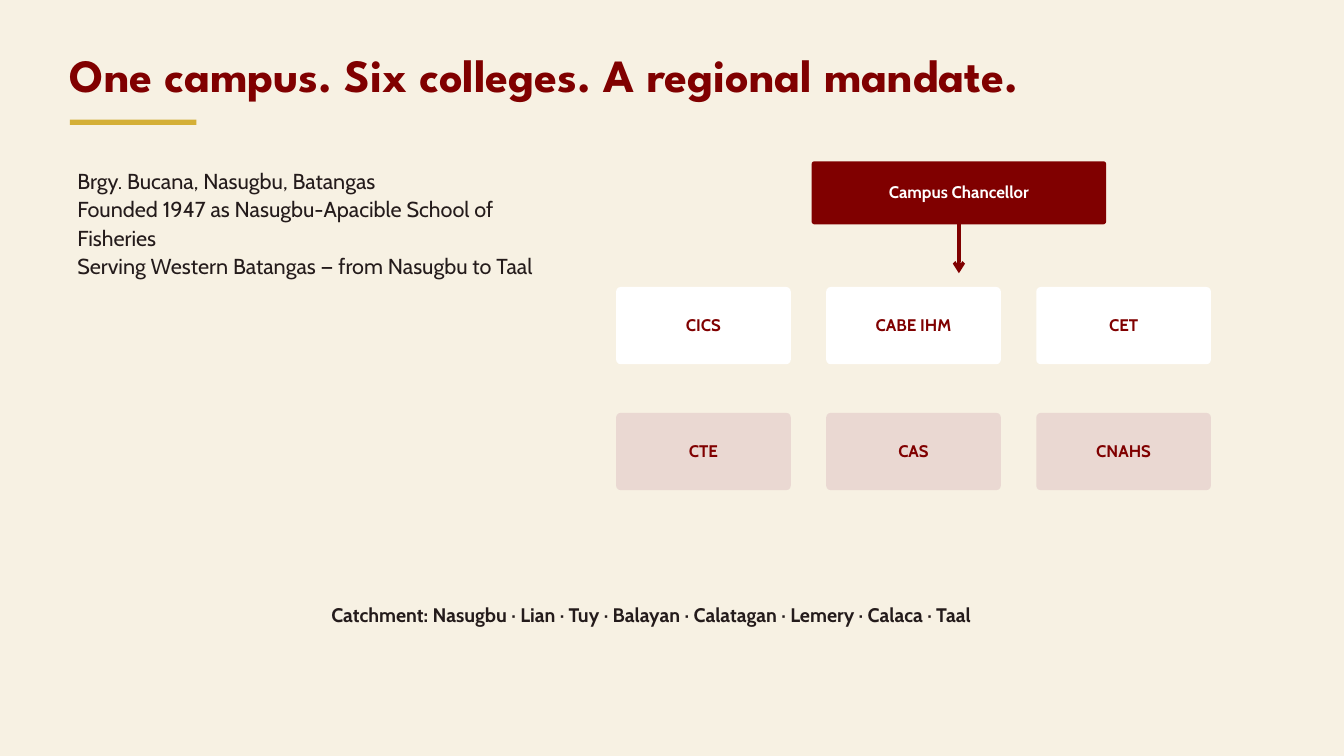
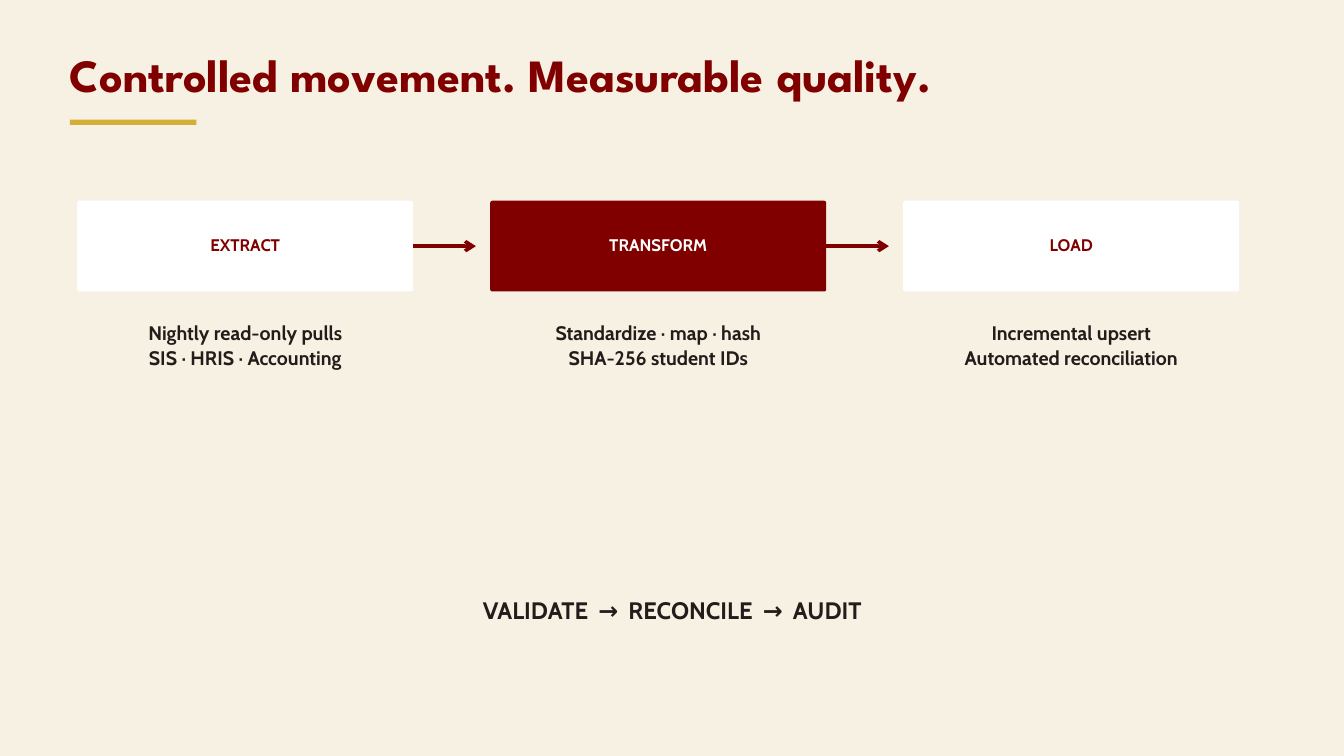
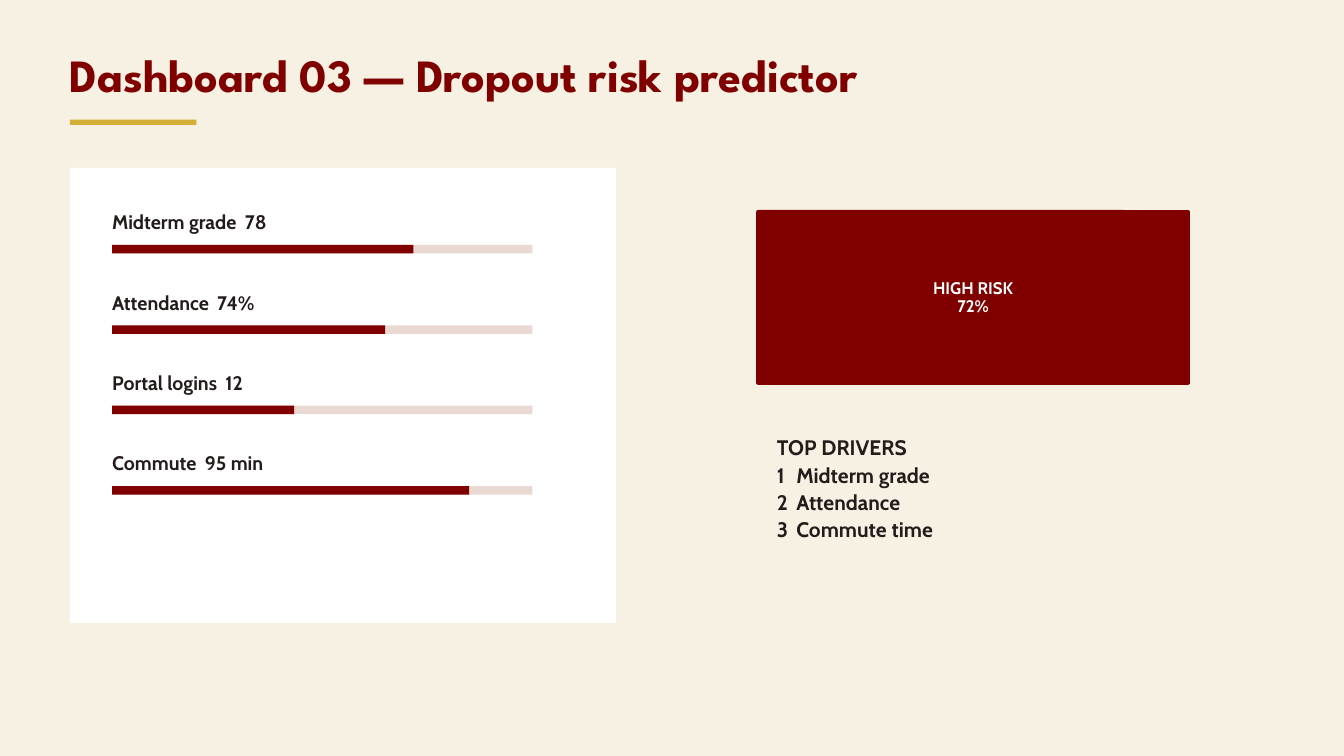
from dataclasses import dataclass

from lxml.etree import SubElement
from pptx import Presentation
from pptx.dml.color import RGBColor
from pptx.enum.shapes import MSO_CONNECTOR, MSO_SHAPE
from pptx.enum.text import MSO_ANCHOR, MSO_AUTO_SIZE, PP_ALIGN
from pptx.oxml.ns import qn
from pptx.util import Cm, Pt

# Shared style
COLORS = {
    "cream": "F7F1E3",
    "maroon": "800000",
    "gold": "D4AF37",
    "ink": "241B1B",
    "white": "FFFFFF",
    "blush": "EAD8D2",
}
BODY_FONT = "Cabin"
TITLE_FONT = "League Spartan"
GAP = "|"  # marks a double-width space inside a line
SPACE_EM = 0.2
TITLE_AND_BODY, TITLE_ONLY = 1, 5


@dataclass(frozen=True)
class Box:
    x: float
    y: float
    w: float
    h: float

    def emu(self) -> tuple:
        return Cm(self.x), Cm(self.y), Cm(self.w), Cm(self.h)


@dataclass(frozen=True)
class Stage:
    name: str
    caption: str
    fill: str
    color: str


@dataclass(frozen=True)
class Metric:
    label: str
    share: float


def rgb(name: str) -> RGBColor:
    return RGBColor.from_string(COLORS[name])


# Text
def write(tf, text: str, *, size: float, leading: float, color: str = "ink",
          font: str = BODY_FONT, bold: bool = True, align=PP_ALIGN.LEFT,
          anchor=MSO_ANCHOR.TOP, inset: float = 0) -> None:
    """Fill a text frame, one paragraph per line of text."""
    tf.word_wrap = True
    tf.auto_size = MSO_AUTO_SIZE.NONE
    tf.vertical_anchor = anchor
    tf.margin_left = tf.margin_top = tf.margin_right = tf.margin_bottom = Cm(inset)
    for i, line in enumerate(text.split("\n")):
        p = tf.paragraphs[0] if i == 0 else tf.add_paragraph()
        p.alignment = align
        p.line_spacing = Pt(leading)
        p.space_before = Pt(0)
        for j, part in enumerate(line.split(GAP)):
            for piece in ([" ", part] if j else [part]):
                r = p.add_run()
                r.text = piece
                r.font.size = Pt(size)
                r.font.name = font
                r.font.bold = bold
                r.font.color.rgb = rgb(color)
                if piece == " ":
                    r.font._element.set("spc", str(round(size * SPACE_EM * 100)))


def add_text(s, box: Box, text: str, **style) -> None:
    write(s.shapes.add_textbox(*box.emu()).text_frame, text, **style)


def place(sp, box: Box) -> None:
    sp.left, sp.top, sp.width, sp.height = box.emu()


def set_bullet(p, number: bool = False, indent: float = 0) -> None:
    pPr = p._p.get_or_add_pPr()
    pPr.set("marL", str(Cm(indent)))
    pPr.set("indent", str(-Cm(indent)))
    if number:
        SubElement(pPr, qn("a:buFont"), typeface=BODY_FONT)
        SubElement(pPr, qn("a:buAutoNum"), type="arabicPlain")
    else:
        SubElement(pPr, qn("a:buNone"))


def fill_body(s, box: Box, text: str, numbered_from: int | None = None, **style) -> None:
    """Use the body placeholder; lines from numbered_from on are numbered."""
    sp = s.placeholders[1]
    place(sp, box)
    write(sp.text_frame, text, **style)
    for i, p in enumerate(sp.text_frame.paragraphs):
        if numbered_from is not None and i >= numbered_from:
            set_bullet(p, number=True, indent=0.74)
        else:
            set_bullet(p)


# Shapes
def add_block(s, box: Box, fill: str, radius: float = 0):
    kind = MSO_SHAPE.ROUNDED_RECTANGLE if radius else MSO_SHAPE.RECTANGLE
    sp = s.shapes.add_shape(kind, *box.emu())
    if radius:
        sp.adjustments[0] = radius / min(box.w, box.h)
    sp.shadow.inherit = False
    sp.fill.solid()
    sp.fill.fore_color.rgb = rgb(fill)
    sp.line.fill.background()
    return sp


def add_label_block(s, box: Box, text: str, fill: str, color: str, radius: float):
    sp = add_block(s, box, fill, radius)
    write(sp.text_frame, text, size=18, leading=19.8, color=color,
          align=PP_ALIGN.CENTER, anchor=MSO_ANCHOR.MIDDLE, inset=0.15)
    return sp


def add_arrow(s, source, site: int, dx: float = 0, dy: float = 0) -> None:
    """Draw an arrow of the given reach from a side of the source block."""
    if site == 2:
        x, y = source.left + source.width // 2, source.top + source.height
    else:
        x, y = source.left + source.width, source.top + source.height // 2
    line = s.shapes.add_connector(MSO_CONNECTOR.STRAIGHT, x, y, x + Cm(dx), y + Cm(dy))
    line.begin_connect(source, site)
    line.line.color.rgb = rgb("maroon")
    line.line.width = Pt(3.75)
    SubElement(line.line._get_or_add_ln(), qn("a:tailEnd"), type="arrow")
    SubElement(line._element.spPr, qn("a:effectLst"))


def new_slide(prs, layout: int, title: str):
    s = prs.slides.add_slide(prs.slide_layouts[layout])
    place(s.shapes.title, Box(2.64, 2.08, 45.52, 1.85))
    write(s.shapes.title.text_frame, title, size=49.5, leading=50.5,
          color="maroon", font=TITLE_FONT)
    add_block(s, Box(2.64, 4.52, 4.78, 0.2), "gold")
    return s


# Slide 1: campus organisation
def campus_slide(prs) -> None:
    s = new_slide(prs, TITLE_AND_BODY, "One campus. Six colleges. A regional mandate.")
    fill_body(s, Box(2.92, 6.27, 17.98, 4.24),
              "Brgy. Bucana, Nasugbu, Batangas\n"
              "Founded 1947 as Nasugbu-Apacible School of Fisheries\n"
              "Serving Western Batangas — from Nasugbu to Taal",
              size=23.2, leading=30.2, bold=False)
    chancellor = add_label_block(s, Box(30.68, 6.1, 11.13, 2.38), "Campus Chancellor",
                                 "maroon", "white", 0.1)
    add_arrow(s, chancellor, 2, dy=1.85)
    rows = [("white", ["CICS", "CABE IHM", "CET"]),
            ("blush", ["CTE", "CAS", "CNAHS"])]
    for i, (fill, colleges) in enumerate(rows):
        for j, college in enumerate(colleges):
            add_label_block(s, Box(23.29 + j * 7.94, 10.85 + i * 4.76, 6.6, 2.92),
                            college, fill, "maroon", 0.17)
    add_text(s, Box(2.92, 22.71, 43.38, 0.94),
             "Catchment: Nasugbu · Lian · Tuy · Balayan · Calatagan · Lemery · Calaca · Taal",
             size=21, leading=27.3, align=PP_ALIGN.CENTER)


# Slide 2: data pipeline
def pipeline_slide(prs) -> None:
    s = new_slide(prs, TITLE_ONLY, "Controlled movement. Measurable quality.")
    stages = [
        Stage("EXTRACT", "Nightly read-only pulls\nSIS · HRIS · Accounting", "white", "maroon"),
        Stage("TRANSFORM", "Standardize · map · hash\nSHA-256 student IDs", "maroon", "white"),
        Stage("LOAD", "Incremental upsert\nAutomated reconciliation", "white", "maroon"),
    ]
    for i, stage in enumerate(stages):
        x = 2.92 + i * 15.61
        block = add_label_block(s, Box(x, 7.59, 12.7, 3.43), stage.name,
                                stage.fill, stage.color, 0.08)
        add_text(s, Box(x, 12.04, 12.7, 1.88), stage.caption,
                 size=21, leading=27.3, align=PP_ALIGN.CENTER)
        if i < len(stages) - 1:
            add_arrow(s, block, 3, dx=2.37)
    add_text(s, Box(9.27, 22.43, 32.28, 1.12), "VALIDATE|→|RECONCILE|→|AUDIT",
             size=25.5, leading=33.1, align=PP_ALIGN.CENTER)


# Slide 3: risk dashboard
def risk_slide(prs) -> None:
    s = new_slide(prs, TITLE_AND_BODY, "Dashboard 03 — Dropout risk predictor")
    add_block(s, Box(2.64, 6.35, 20.64, 17.2), "white", 0.05)
    metrics = [Metric("Midterm grade|78", 0.717), Metric("Attendance|74%", 0.65),
               Metric("Portal logins|12", 0.433), Metric("Commute|95 min", 0.85)]
    track_width = 15.88
    for i, metric in enumerate(metrics):
        y = 7.87 + i * 3.04
        add_text(s, Box(4.24, y, 17.2, 0.94), metric.label, size=21, leading=27.3)
        for fill, share in (("blush", 1), ("maroon", metric.share)):
            add_block(s, Box(4.24, y + 1.39, track_width * share, 0.32), fill)
    add_label_block(s, Box(28.58, 7.94, 16.4, 6.61), "HIGH RISK\n72%",
                    "maroon", "white", 0.08)
    fill_body(s, Box(29.36, 16.36, 14.81, 4.09),
              "TOP DRIVERS\nMidterm grade\nAttendance\nCommute time",
              numbered_from=1, size=22.5, leading=29.2)


def main() -> None:
    prs = Presentation()
    prs.slide_width, prs.slide_height = Cm(50.8), Cm(28.58)
    background = prs.slide_master.background.fill
    background.solid()
    background.fore_color.rgb = rgb("cream")
    campus_slide(prs)
    pipeline_slide(prs)
    risk_slide(prs)
    prs.save("out.pptx")


if __name__ == "__main__":
    main()
